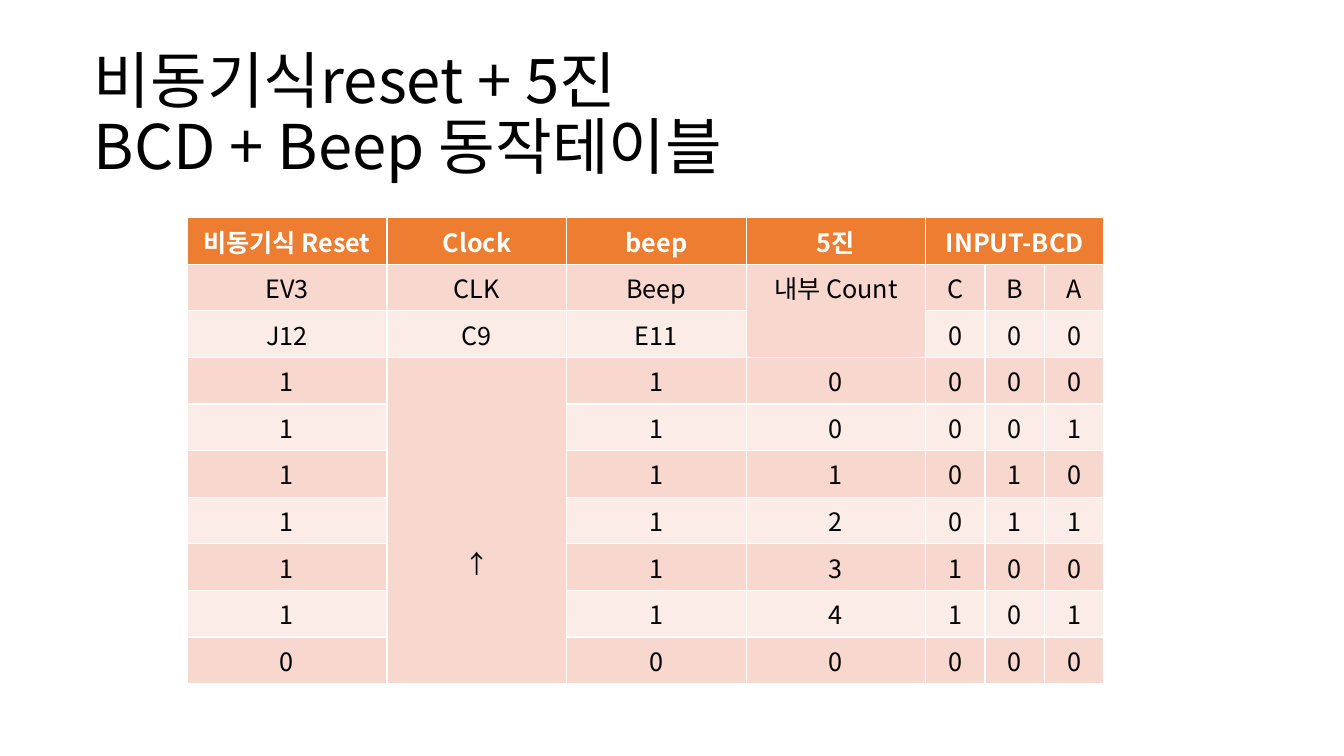
from dataclasses import dataclass

from lxml.etree import SubElement
from pptx import Presentation
from pptx.dml.color import RGBColor
from pptx.enum.text import MSO_ANCHOR, PP_ALIGN
from pptx.oxml.ns import qn
from pptx.slide import Slide
from pptx.table import _Cell
from pptx.text.text import TextFrame
from pptx.util import Inches, Pt

FONT = "Noto Sans CJK KR"
WHITE = RGBColor(0xFF, 0xFF, 0xFF)
BLACK = RGBColor(0, 0, 0)
ORANGE = RGBColor(0xED, 0x7D, 0x31)
BANDS = (RGBColor(0xFC, 0xEC, 0xE8), RGBColor(0xF8, 0xD7, 0xCE))
TOP = 2.16
ROW = 0.41
LINE = 0.36


@dataclass(frozen=True)
class Span:
    row: int
    col: int
    tall: int
    wide: int


@dataclass(frozen=True)
class Grid:
    left: float
    widths: tuple[float, ...]
    rows: list[list[str]]
    spans: tuple[Span, ...] = ()


RESET = Grid(
    1.86,
    (1.97,),
    [[text] for text in ["비동기식 Reset", "EV3", "J12", *"1111110"]],
)

COUNT = Grid(
    3.84,
    (1.78,) * 3 + (0.59,) * 3,
    [
        ["Clock", "beep", "5진", "INPUT-BCD", "", ""],
        ["CLK", "Beep", "내부 Count", "C", "B", "A"],
        ["C9", "E11", "", "0", "0", "0"],
        ["↑", *"10000"],
        ["", *"10001"],
        ["", *"11010"],
        ["", *"12011"],
        ["", *"13100"],
        ["", *"14101"],
        ["", *"00000"],
    ],
    (Span(0, 3, 1, 3), Span(1, 2, 2, 1), Span(3, 0, 7, 1)),
)


def style(frame: TextFrame, size: int, color: RGBColor, bold: bool, align: PP_ALIGN) -> None:
    for para in frame.paragraphs:
        para.alignment = align
        for run in para.runs:
            run.font.size = Pt(size)
            run.font.bold = bold
            run.font.color.rgb = color
            run.font.name = FONT
            SubElement(run.font._element, qn("a:ea")).set("typeface", FONT)


def fill_cell(cell: _Cell, text: str, row: int) -> None:
    head = row == 0
    cell.fill.solid()
    cell.fill.fore_color.rgb = ORANGE if head else BANDS[row % 2]
    if text:
        cell.text_frame.text = text
        style(cell.text_frame, 18, WHITE if head else BLACK, head, PP_ALIGN.CENTER)
    if text == "↑":
        cell.margin_top = Inches(0.05 + 5 * LINE)


def draw_grid(slide: Slide, grid: Grid) -> None:
    count = len(grid.rows)
    table = slide.shapes.add_table(
        count, len(grid.widths), Inches(grid.left), Inches(TOP),
        Inches(sum(grid.widths)), Inches(ROW * count),
    ).table
    for col, width in zip(table.columns, grid.widths):
        col.width = Inches(width)
    for y, texts in enumerate(grid.rows):
        table.rows[y].height = Inches(ROW)
        for x, text in enumerate(texts):
            fill_cell(table.cell(y, x), text, y)
    for span in grid.spans:
        end = table.cell(span.row + span.tall - 1, span.col + span.wide - 1)
        table.cell(span.row, span.col).merge(end)


def draw_title(slide: Slide) -> None:
    title = slide.shapes.title
    title.left, title.top = Inches(0.83), Inches(0.43)
    title.width, title.height = Inches(11.5), Inches(1.45)
    frame = title.text_frame
    frame.text = "비동기식reset + 5진 \vBCD + Beep 동작테이블"
    frame.word_wrap = True
    frame.vertical_anchor = MSO_ANCHOR.MIDDLE
    frame.paragraphs[0].line_spacing = 0.9
    style(frame, 44, BLACK, False, PP_ALIGN.LEFT)


def main() -> None:
    deck = Presentation()
    deck.slide_width, deck.slide_height = Inches(13.33), Inches(7.5)
    slide = deck.slides.add_slide(deck.slide_layouts[5])
    draw_title(slide)
    for grid in (RESET, COUNT):
        draw_grid(slide, grid)
    deck.save("out.pptx")


if __name__ == "__main__":
    main()
